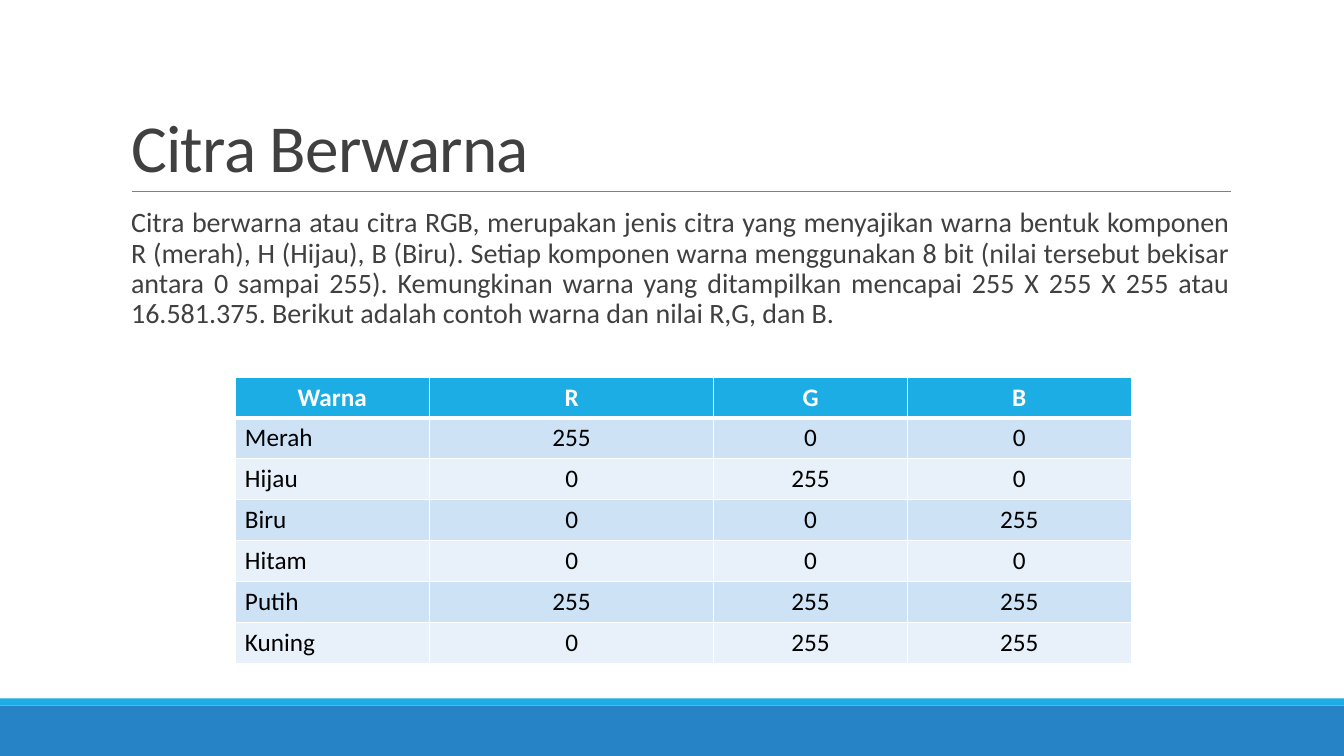
from dataclasses import dataclass

from lxml import etree
from pptx import Presentation
from pptx.dml.color import RGBColor
from pptx.enum.shapes import MSO_CONNECTOR, MSO_SHAPE
from pptx.enum.text import MSO_ANCHOR, MSO_AUTO_SIZE, PP_ALIGN
from pptx.oxml.ns import qn
from pptx.slide import Slide
from pptx.table import _Cell
from pptx.text.text import _Paragraph
from pptx.util import Inches, Pt

RECTANGLE = MSO_SHAPE.RECTANGLE
STRAIGHT = MSO_CONNECTOR.STRAIGHT
MIDDLE, BOTTOM, TOP = MSO_ANCHOR.MIDDLE, MSO_ANCHOR.BOTTOM, MSO_ANCHOR.TOP
LEFT, CENTER, JUSTIFY = PP_ALIGN.LEFT, PP_ALIGN.CENTER, PP_ALIGN.JUSTIFY
NO_AUTOFIT = MSO_AUTO_SIZE.NONE

FONT = "Calibri"
COLORS = {
    "blue": "2683C6",
    "cyan": "1CADE4",
    "rule": "808080",
    "text": "404040",
    "white": "FFFFFF",
    "black": "000000",
    "odd_row": "CDE3F5",
    "even_row": "E8F1FA",
}
TITLE = "Citra Berwarna"
BODY = (
    "Citra berwarna atau citra RGB, merupakan jenis citra yang menyajikan warna "
    "bentuk komponen R (merah), H (Hijau), B (Biru). Setiap komponen warna "
    "menggunakan 8 bit (nilai tersebut bekisar antara 0 sampai 255). Kemungkinan "
    "warna yang ditampilkan mencapai 255 X 255 X 255 atau 16.581.375. Berikut "
    "adalah contoh warna dan nilai R,G, dan B."
)
HEADERS = ("Warna", "R", "G", "B")
COLUMN_WIDTHS = (1.93, 2.82, 1.92, 2.22)
TABLE_HEIGHT = 2.84


@dataclass(frozen=True)
class Band:
    top: float
    height: float
    color: str


@dataclass(frozen=True)
class ColorRow:
    name: str
    red: int
    green: int
    blue: int

    def texts(self) -> tuple[str, ...]:
        return self.name, str(self.red), str(self.green), str(self.blue)


BANDS = (Band(7, 0.5, "blue"), Band(6.93, 0.07, "cyan"))
COLOR_ROWS = (
    ColorRow("Merah", 255, 0, 0),
    ColorRow("Hijau", 0, 255, 0),
    ColorRow("Biru", 0, 0, 255),
    ColorRow("Hitam", 0, 0, 0),
    ColorRow("Putih", 255, 255, 255),
    ColorRow("Kuning", 0, 255, 255),
)


def rgb(name: str) -> RGBColor:
    return RGBColor.from_string(COLORS[name])


def style_paragraph(para: _Paragraph, size: int, color: str, align: PP_ALIGN,
                    bold: bool = False) -> None:
    para.alignment = align
    para.font.name = FONT
    para.font.size = Pt(size)
    para.font.bold = bold
    para.font.color.rgb = rgb(color)


def add_band(slide: Slide, band: Band) -> None:
    shape = slide.shapes.add_shape(
        RECTANGLE, 0, Inches(band.top), Inches(13.33), Inches(band.height))
    shape.shadow.inherit = False
    shape.fill.solid()
    shape.fill.fore_color.rgb = rgb(band.color)
    shape.line.fill.background()


def add_rule(slide: Slide) -> None:
    rule = slide.shapes.add_connector(
        STRAIGHT, Inches(1.31), Inches(1.9), Inches(12.21), Inches(1.9))
    rule.line.color.rgb = rgb("rule")
    rule.line.width = Pt(0.5)
    etree.SubElement(rule._element.spPr, qn("a:effectLst"))


def fill_title(slide: Slide) -> None:
    box = slide.shapes.title
    box.left, box.top = Inches(1.2), Inches(0.31)
    box.width, box.height = Inches(11), Inches(1.59)
    frame = box.text_frame
    frame.auto_size = NO_AUTOFIT
    frame.vertical_anchor = BOTTOM
    frame.text = TITLE
    para = frame.paragraphs[0]
    para.line_spacing = 0.85
    style_paragraph(para, 48, "text", LEFT)
    para.runs[0]._r.get_or_add_rPr().set("spc", "-50")


def add_blank_bullet(para: _Paragraph) -> None:
    properties = para._p.get_or_add_pPr()
    properties.set("marL", str(Inches(0.1)))
    properties.set("indent", str(-Inches(0.1)))
    bullet_color = etree.SubElement(properties, qn("a:buClr"))
    etree.SubElement(bullet_color, qn("a:srgbClr"), val=COLORS["cyan"])
    etree.SubElement(properties, qn("a:buChar"), char=" ")


def fill_body(slide: Slide) -> None:
    box = slide.placeholders[1]
    box.left, box.top = Inches(1.2), Inches(2.02)
    box.width, box.height = Inches(11), Inches(4.4)
    frame = box.text_frame
    frame.auto_size = NO_AUTOFIT
    frame.vertical_anchor = TOP
    frame.margin_left = frame.margin_right = 0
    frame.text = BODY
    para = frame.paragraphs[0]
    para.line_spacing = 0.9
    para.space_before, para.space_after = Pt(12), Pt(2)
    add_blank_bullet(para)
    style_paragraph(para, 20, "text", JUSTIFY)


def add_borders(cell: _Cell, top: int, bottom: int) -> None:
    properties = cell._tc.get_or_add_tcPr()
    for side, width in {"L": 1, "R": 1, "T": top, "B": bottom}.items():
        line = etree.SubElement(properties, qn(f"a:ln{side}"), w=str(Pt(width)))
        fill = etree.SubElement(line, qn("a:solidFill"))
        etree.SubElement(fill, qn("a:srgbClr"), val=COLORS["white"])


def fill_cell(cell: _Cell, text: str, row: int, column: int) -> None:
    header = row == 0
    add_borders(cell, top=3 if row == 1 else 1, bottom=3 if header else 1)
    cell.fill.solid()
    cell.fill.fore_color.rgb = rgb(
        "cyan" if header else "odd_row" if row % 2 else "even_row")
    cell.vertical_anchor = MIDDLE if header else TOP
    cell.text = text
    style_paragraph(
        cell.text_frame.paragraphs[0], 18, "white" if header else "black",
        CENTER if header or column else LEFT, header)


def add_color_table(slide: Slide) -> None:
    rows = [HEADERS, *(row.texts() for row in COLOR_ROWS)]
    table = slide.shapes.add_table(
        len(rows), len(HEADERS), Inches(2.33), Inches(3.74),
        Inches(sum(COLUMN_WIDTHS)), Inches(TABLE_HEIGHT)).table
    for column, width in zip(table.columns, COLUMN_WIDTHS):
        column.width = Inches(width)
    for row_index, texts in enumerate(rows):
        for column_index, text in enumerate(texts):
            fill_cell(table.cell(row_index, column_index), text,
                      row_index, column_index)


def main() -> None:
    deck = Presentation()
    deck.slide_width, deck.slide_height = Inches(13.33), Inches(7.5)
    page = deck.slides.add_slide(deck.slide_layouts[1])
    for band in BANDS:
        add_band(page, band)
    add_rule(page)
    fill_title(page)
    fill_body(page)
    add_color_table(page)
    deck.save("out.pptx")


if __name__ == "__main__":
    main()
